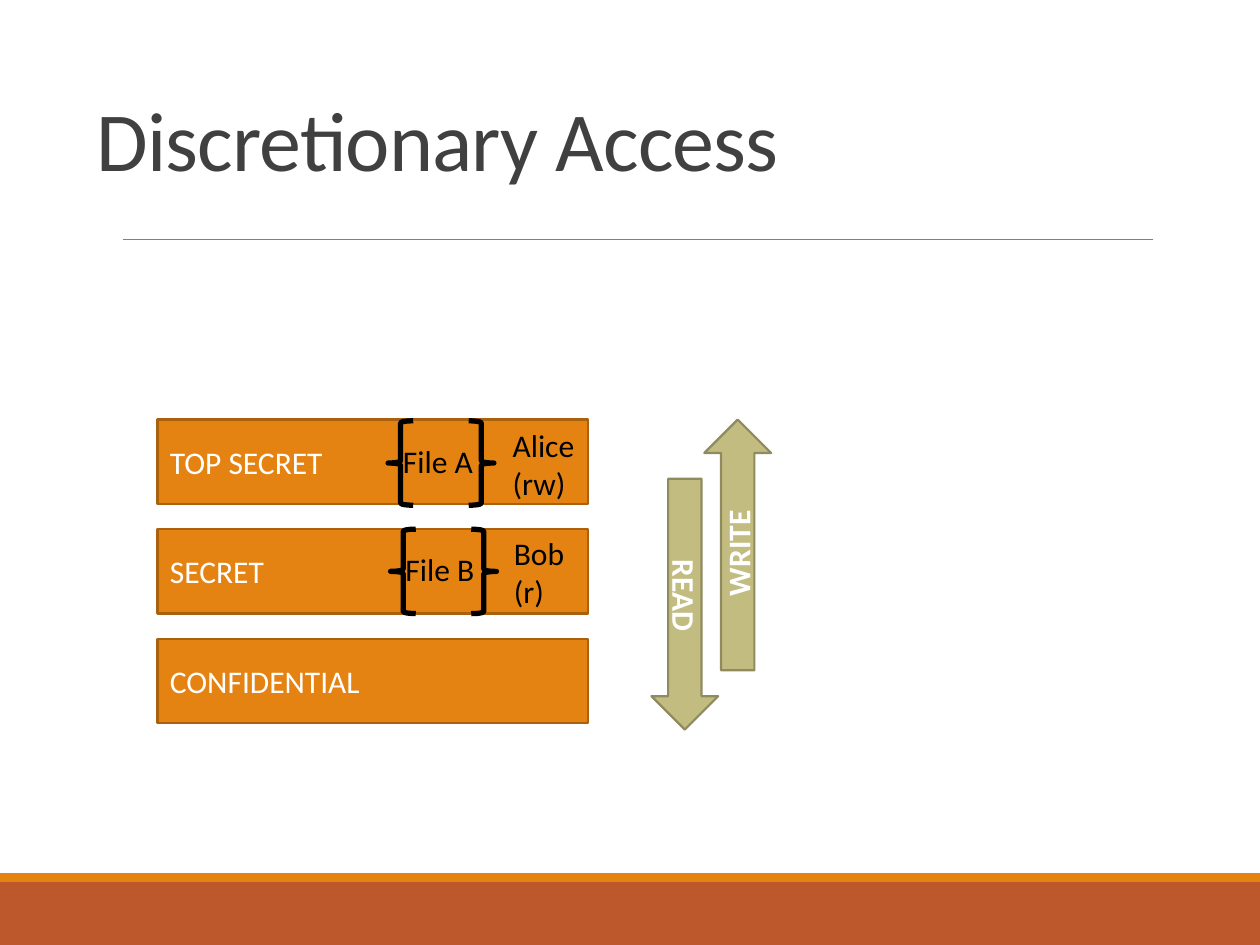
from pptx import Presentation
from pptx.dml.color import RGBColor
from pptx.enum.shapes import MSO_CONNECTOR as Connector, MSO_SHAPE as Shape
from pptx.enum.text import MSO_ANCHOR as Anchor, PP_ALIGN as Align
from pptx.util import Inches, Pt
from lxml import etree

ORANGE = RGBColor(0xE4, 0x83, 0x12)
DARK_ORANGE = RGBColor(0xA9, 0x61, 0x0D)
RUST = RGBColor(0xBD, 0x58, 0x2C)
KHAKI = RGBColor(0xC2, 0xBC, 0x80)
DARK_KHAKI = RGBColor(0x90, 0x8B, 0x5F)
GRAY = RGBColor(0x80, 0x80, 0x80)
CHARCOAL = RGBColor(0x40, 0x40, 0x40)
BLACK = RGBColor(0, 0, 0)
WHITE = RGBColor(0xFF, 0xFF, 0xFF)
DRAWING = "http://schemas.openxmlformats.org/drawingml/2006/main"

presentation = Presentation()
presentation.slide_width, presentation.slide_height = Inches(10), Inches(7.5)
slide = presentation.slides.add_slide(presentation.slide_layouts[6])


def write_text(shape, text, size=18, color=WHITE, bold=False, align=Align.LEFT,
               anchor=Anchor.MIDDLE, wrap=True, line_spacing=1.0, tracking=0):
    frame = shape.text_frame
    frame.word_wrap = wrap
    frame.vertical_anchor = anchor
    frame.text = text
    for paragraph in frame.paragraphs:
        paragraph.alignment = align
        paragraph.line_spacing = line_spacing
        for run in paragraph.runs:
            run.font.name = "Calibri"
            run.font.size = Pt(size)
            run.font.bold = bold
            run.font.color.rgb = color
            if tracking:
                run.font._element.set("spc", str(tracking))


def add_shape(kind, left, top, width, height, fill=None, line=None,
              line_width=1.25, rotation=0):
    shape = slide.shapes.add_shape(kind, Inches(left), Inches(top),
                                   Inches(width), Inches(height))
    shape.shadow.inherit = False
    shape.rotation = rotation
    if fill is None:
        shape.fill.background()
    else:
        shape.fill.solid()
        shape.fill.fore_color.rgb = fill
    if line is None:
        shape.line.fill.background()
    else:
        shape.line.color.rgb = line
        shape.line.width = Pt(line_width)
    return shape


# Footer bands
add_shape(Shape.RECTANGLE, 0, 7, 10, 0.5, RUST)
add_shape(Shape.RECTANGLE, 0, 6.93, 10, 0.07, ORANGE)

# Title and its rule
rule = slide.shapes.add_connector(Connector.STRAIGHT, Inches(0.98), Inches(1.9),
                                  Inches(9.15), Inches(1.9))
rule.line.color.rgb = GRAY
rule.line.width = Pt(0.5)
etree.SubElement(rule._element.spPr, f"{{{DRAWING}}}effectLst")
title = slide.shapes.add_textbox(Inches(0.67), Inches(0.3), Inches(8.67), Inches(1.25))
write_text(title, "Discretionary Access", size=48, color=CHARCOAL,
           anchor=Anchor.BOTTOM, line_spacing=0.85, tracking=-50)

# Security levels
for row, level in enumerate(["TOP SECRET", "SECRET", "CONFIDENTIAL"]):
    bar = add_shape(Shape.RECTANGLE, 1.25, 3.33 + 0.87 * row, 3.42, 0.67,
                    ORANGE, DARK_ORANGE)
    write_text(bar, level)

# Read and write directions
for label, left, top, rotation in [("WRITE", 4.86, 4.06, 270), ("READ", 4.44, 4.53, 90)]:
    arrow = add_shape(Shape.RIGHT_ARROW, left, top, 1.99, 0.53,
                      KHAKI, DARK_KHAKI, rotation=rotation)
    write_text(arrow, label, bold=True, align=Align.CENTER)

# Files in braces, each with its user and rights
files = [
    ("File A", "Alice\n(rw)", 3.08, 3.34, 3.97, 0.75),
    ("File B", "Bob\n(r)", 3.1, 4.2, 3.98, 0.66),
]
for name, user, left, top, user_left, user_width in files:
    for offset, rotation in [(0, 0), (0.64, 180)]:
        add_shape(Shape.LEFT_BRACE, left + offset, top, 0.2, 0.67,
                  line=BLACK, line_width=3, rotation=rotation)
    labels = [
        (name, left + 0.02, top + 0.12, 0.76, 0.4),
        (user, user_left, top - 0.01, user_width, 0.71),
    ]
    for text, x, y, width, height in labels:
        box = slide.shapes.add_textbox(Inches(x), Inches(y), Inches(width), Inches(height))
        write_text(box, text, color=BLACK, anchor=Anchor.TOP, wrap=False)

presentation.save("out.pptx")
